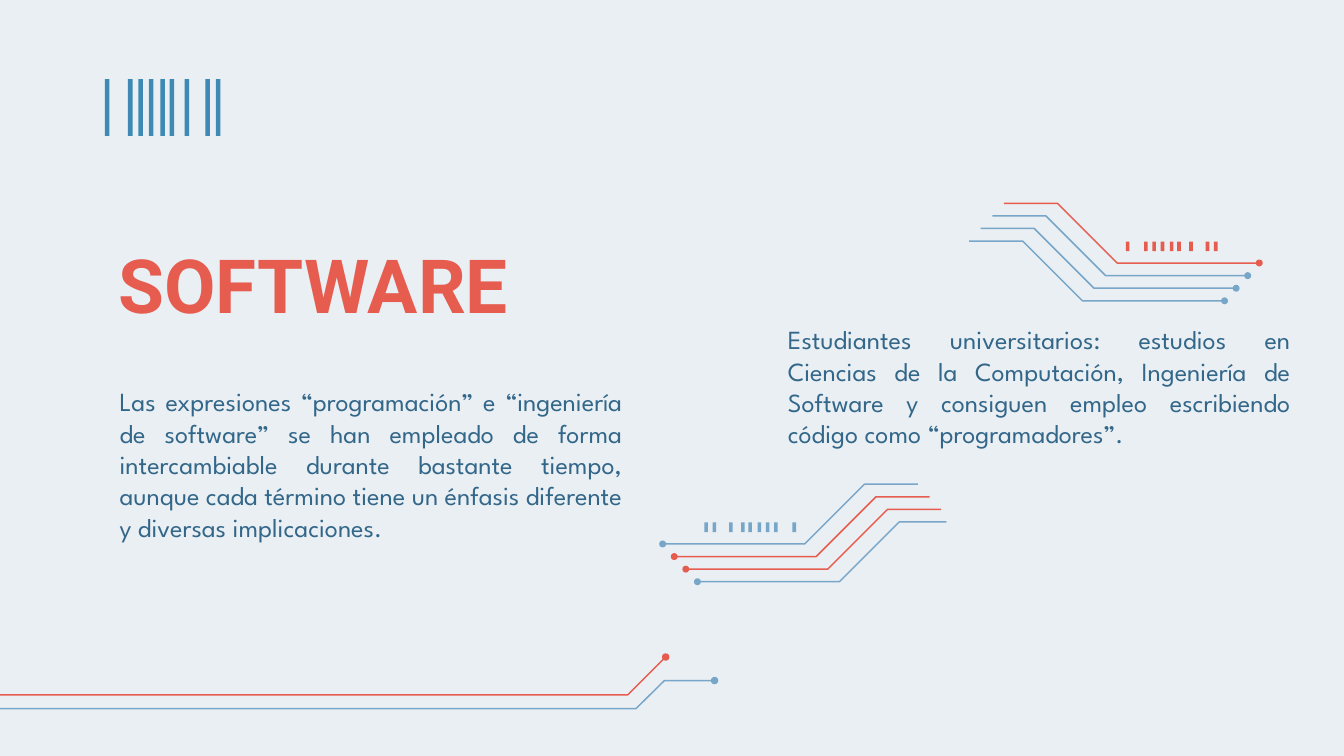
from pptx import Presentation
from pptx import util as u
from pptx.dml.color import RGBColor
from pptx.enum import shapes, text

BG = RGBColor(0xEA, 0xEF, 0xF3)
RED = RGBColor(0xE6, 0x5C, 0x4F)
BLUE = RGBColor(0x78, 0xA6, 0xC9)
DEEP_BLUE = RGBColor(0x3F, 0x8A, 0xB4)
TEXT_BLUE = RGBColor(0x33, 0x67, 0x8A)

# Left edges of the barcode bars and their width, as shares of the barcode width
BARS = (0, 0.2, 0.29, 0.38, 0.48, 0.56, 0.69, 0.87, 0.96)
BAR_WIDTH = 0.04


def add_solid(s, kind, x, y, w, h, color):
    sp = s.shapes.add_shape(kind, u.Pt(x), u.Pt(y), u.Pt(w), u.Pt(h))
    sp.shadow.inherit = False
    sp.fill.solid()
    sp.fill.fore_color.rgb = color
    sp.line.fill.background()
    return sp


def add_trace(s, points, dot, color):
    """Bent line that ends in a round dot."""
    pts = [(u.Pt(x), u.Pt(y)) for x, y in points]
    builder = s.shapes.build_freeform(*pts[0])
    builder.add_line_segments(pts[1:], close=False)
    sp = builder.convert_to_shape()
    sp.shadow.inherit = False
    sp.fill.background()
    sp.line.color.rgb = color
    sp.line.width = u.Pt(0.8)
    x, y = points[-1]
    add_solid(s, shapes.MSO_SHAPE.OVAL, x - dot / 2, y - dot / 2, dot, dot, color)


def add_barcode(s, x, y, w, h, color, mirror=False):
    for left in BARS:
        if mirror:
            left = 1 - BAR_WIDTH - left
        add_solid(s, shapes.MSO_SHAPE.RECTANGLE, x + left * w, y, BAR_WIDTH * w, h, color)


def add_circuit(s, x, y, w, colors, bar_color, mirror=False):
    """Four stepped traces under a small barcode."""
    step_x, step_y, drop, dot = 6.2, 6.75, 32, 3.7
    code_x, code_w = 84, 49.2

    # Barcode
    code_left = w - code_x - code_w if mirror else code_x
    add_barcode(s, x + code_left, y + 20.9, code_w, 5.2, bar_color, mirror)

    # Traces
    for i, color in enumerate(colors):
        start, top = 18.7 - i * step_x, y + 0.4 + i * step_y
        xs = (start, start + 28.7, start + 28.7 + drop, start + 136.8)
        ys = (top, top, top + drop, top + drop)
        points = [(x + (w - px if mirror else px), py) for px, py in zip(xs, ys)]
        add_trace(s, points, dot, color)


def add_footer_traces(s, x, y):
    add_trace(s, [(x, y + 27.6), (x + 340.8, y + 27.6), (x + 356, y + 12.6),
                  (x + 382.8, y + 12.6)], 4, BLUE)
    add_trace(s, [(x, y + 20.2), (x + 336.4, y + 20.2), (x + 356.6, y)], 4, RED)


def add_text(s, x, y, w, h, words, font, size, color, bold=False,
             anchor=text.MSO_ANCHOR.TOP, align=text.PP_ALIGN.JUSTIFY):
    tf = s.shapes.add_textbox(u.Pt(x), u.Pt(y), u.Pt(w), u.Pt(h)).text_frame
    tf.word_wrap = True
    tf.vertical_anchor = anchor
    tf.margin_left = tf.margin_right = tf.margin_top = tf.margin_bottom = u.Pt(7.2)
    p = tf.paragraphs[0]
    p.text = words
    p.alignment = align
    r = p.runs[0]
    r.font.name, r.font.size, r.font.bold = font, u.Pt(size), bold
    r.font.color.rgb = color


def main():
    prs = Presentation()
    prs.slide_width, prs.slide_height = u.Pt(720), u.Pt(405)
    s = prs.slides.add_slide(prs.slide_layouts[6])
    s.background.fill.solid()
    s.background.fill.fore_color.rgb = BG

    # Decoration
    add_barcode(s, 56.2, 42.4, 61.9, 30.4, DEEP_BLUE)
    add_footer_traces(s, 0, 352)
    add_circuit(s, 352.9, 259, 157.6, (BLUE, RED, RED, BLUE), BLUE, mirror=True)
    add_circuit(s, 519.1, 108.5, 157.6, (RED, BLUE, BLUE, BLUE), RED)

    # Spot that trims the tip of the lowest trace
    add_solid(s, shapes.MSO_SHAPE.OVAL, 507, 276.6, 5, 5.8, BG)

    # Title and body
    add_text(s, 56.4, 116, 305, 67, "SOFTWARE", "Roboto", 40, RED, True,
             text.MSO_ANCHOR.BOTTOM, text.PP_ALIGN.LEFT)
    add_text(s, 57, 199.4, 283.7, 90,
             "Las expresiones “programación” e “ingeniería de software” se han "
             "empleado de forma intercambiable durante bastante tiempo, aunque cada "
             "término tiene un énfasis diferente y diversas implicaciones.",
             "League Spartan", 14, TEXT_BLUE)
    add_text(s, 415, 166.2, 283.7, 90,
             "Estudiantes universitarios: estudios en Ciencias de la Computación, "
             "Ingeniería de Software y consiguen empleo escribiendo código como "
             "“programadores”.",
             "League Spartan", 14, TEXT_BLUE)

    prs.save("out.pptx")


if __name__ == "__main__":
    main()
